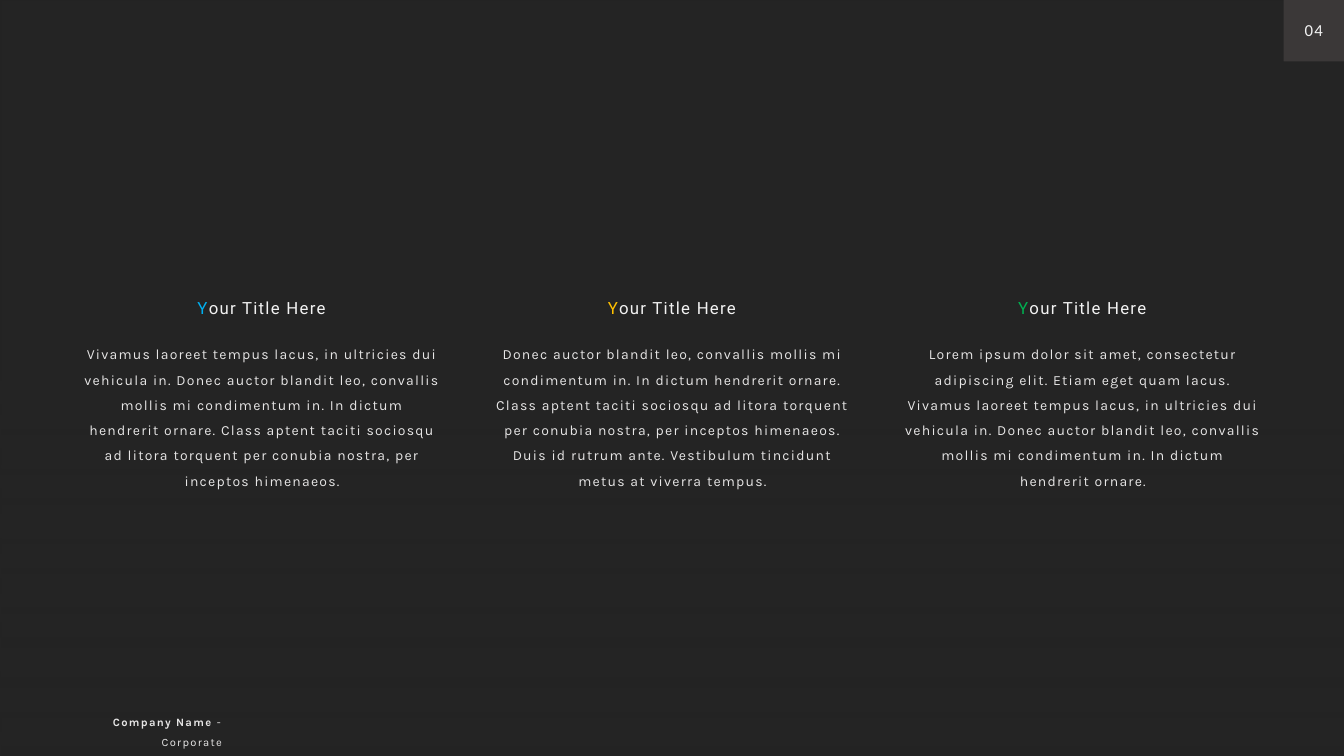
import pptx
import pptx.dml.color
import pptx.enum.shapes
import pptx.enum.text
import pptx.oxml.ns
import pptx.util
from lxml import etree
from pptx.util import Inches

COLORS = {
    "background": "242424",
    "badge": "3B3838",
    "body": "E7E6E6",
    "heading": "F2F2F2",
    "blue": "00B0F0",
    "yellow": "FFC000",
    "green": "00B050",
}
ALIGN = pptx.enum.text.PP_ALIGN
ANCHOR = pptx.enum.text.MSO_ANCHOR
RECTANGLE = pptx.enum.shapes.MSO_SHAPE.RECTANGLE


def rgb(name):
    return pptx.dml.color.RGBColor.from_string(COLORS[name])


def add_text(box, runs, formats, align=ALIGN.CENTER, spacing=1.5, wrap=True, anchor=ANCHOR.TOP):
    frame = slide.shapes.add_textbox(*map(Inches, box)).text_frame
    frame.word_wrap = wrap
    frame.auto_size = pptx.enum.text.MSO_AUTO_SIZE.SHAPE_TO_FIT_TEXT
    frame.vertical_anchor = anchor
    paragraph = frame.paragraphs[0]
    paragraph.alignment = align
    paragraph.line_spacing = spacing
    for text, color, bold in runs:
        run = paragraph.add_run()
        run.text = text
        for name, value in {**formats, "bold": bold}.items():
            setattr(run.font, name, value)
        run.font.color.rgb = rgb(color)
        run.font._element.set("spc", "90")


presentation = pptx.Presentation()
presentation.slide_width = Inches(13.33)
presentation.slide_height = Inches(7.5)
slide = presentation.slides.add_slide(presentation.slide_layouts[6])
slide.background.fill.solid()
slide.background.fill.fore_color.rgb = rgb("background")

overlay = slide.shapes.add_shape(RECTANGLE, Inches(2.92), Inches(-2.92), Inches(7.5), Inches(13.33))
overlay.rotation = 90
overlay.shadow.inherit = False
overlay.line.fill.background()
overlay.fill.gradient()
overlay.fill.gradient_angle = 0
for stop, position, opacity in zip(overlay.fill.gradient_stops, (0.5, 1), (80, 50)):
    stop.position = position
    stop.color.rgb = rgb("background")
    color_element = stop._gs.find(pptx.oxml.ns.qn("a:srgbClr"))
    alpha = etree.SubElement(color_element, pptx.oxml.ns.qn("a:alpha"))
    alpha.set("val", str(opacity * 1000))

columns = [
    ("blue", "Vivamus laoreet tempus lacus, in ultricies dui vehicula in. Donec auctor blandit leo, "
     "convallis mollis mi condimentum in. In dictum hendrerit ornare. Class aptent taciti sociosqu "
     "ad litora torquent per conubia nostra, per inceptos himenaeos."),
    ("yellow", "Donec auctor blandit leo, convallis mollis mi condimentum in. In dictum hendrerit "
     "ornare. Class aptent taciti sociosqu ad litora torquent per conubia nostra, per inceptos "
     "himenaeos. Duis id rutrum ante. Vestibulum tincidunt metus at viverra tempus."),
    ("green", "Lorem ipsum dolor sit amet, consectetur adipiscing elit. Etiam eget quam lacus. "
     "Vivamus laoreet tempus lacus, in ultricies dui vehicula in. Donec auctor blandit leo, "
     "convallis mollis mi condimentum in. In dictum hendrerit ornare."),
]
body_format = {"name": "Karla", "size": pptx.util.Pt(10)}
heading_format = {"name": "Roboto", "size": pptx.util.Pt(12)}
for index, (accent, body) in enumerate(columns):
    left = 0.73 + 4.07 * index
    add_text((left, 3.3, 3.74, 1.33), [(body, "body", False)], body_format)
    heading = [("Y", accent, False), ("our Title Here", "heading", False)]
    add_text((left + 0.98, 2.8, 1.77, 0.37), heading, heading_format, wrap=False)

badge = slide.shapes.add_shape(RECTANGLE, Inches(12.73), 0, Inches(0.61), Inches(0.61))
badge.shadow.inherit = False
badge.fill.solid()
badge.fill.fore_color.rgb = rgb("badge")
badge.line.fill.background()
number_format = {"name": "Calibri", "size": pptx.util.Pt(12)}
add_text((12.83, 0.15, 0.4, 0.3), [("04", "heading", False)], number_format,
         spacing=1.0, wrap=False, anchor=ANCHOR.MIDDLE)

footer = [("Company Name ", "body", True), ("- Corporate", "body", False)]
footer_format = {"name": "Karla", "size": pptx.util.Pt(8)}
add_text((0.47, 6.98, 1.83, 0.28), footer, footer_format, align=ALIGN.RIGHT)

presentation.save("out.pptx")
